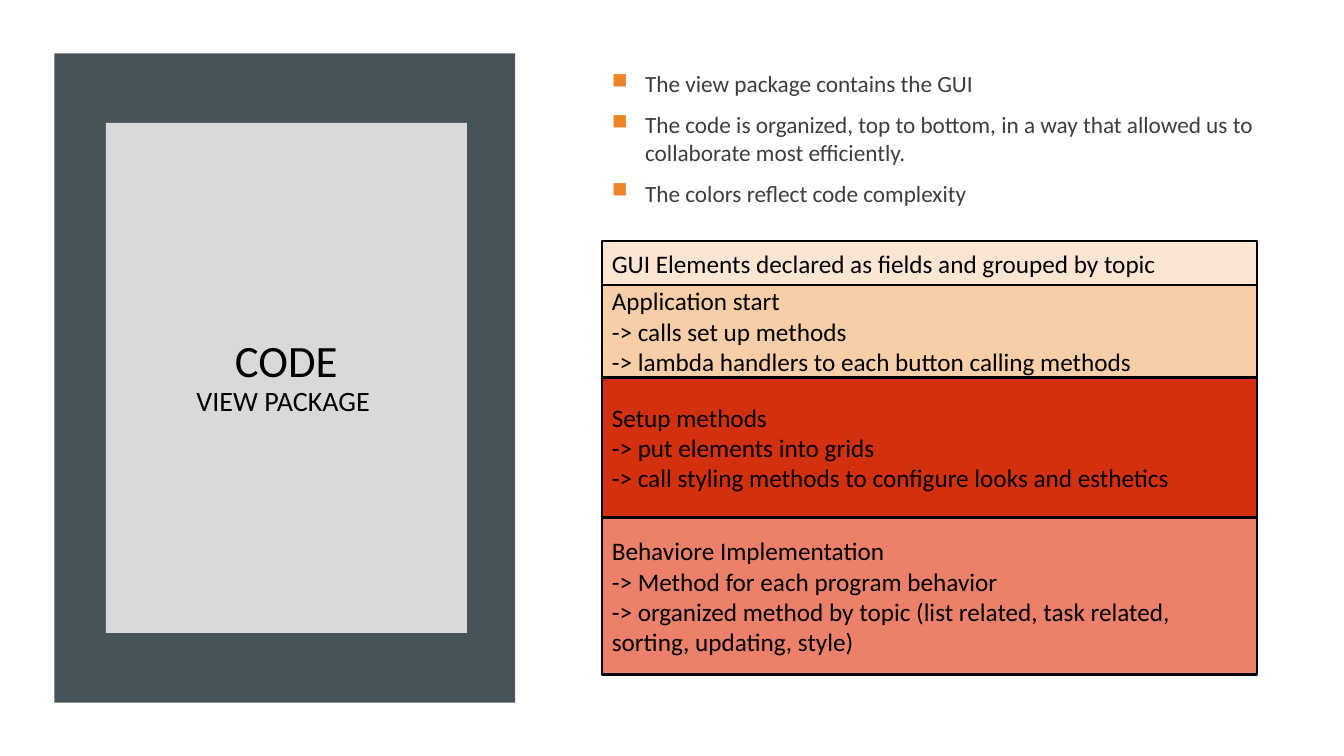
from lxml.etree import SubElement
from pptx import Presentation
from pptx.dml.color import RGBColor
from pptx.enum.shapes import MSO_SHAPE as Shape
from pptx.enum.text import MSO_ANCHOR as Anchor, PP_ALIGN as Align
from pptx.oxml.ns import qn
from pptx.util import Inches, Pt

FONT = "Calibri"
WIDTH, HEIGHT = 13.33, 7.5
STACK_LEFT, STACK_WIDTH = 5.97, 6.5

POINTS = [
    "The view package contains the GUI",
    "The code is organized, top to bottom, in a way that allowed us to collaborate most efficiently.",
    "The colors reflect code complexity",
]

SECTIONS = [
    (2.39, 0.45, "FBE6D4", ["GUI Elements declared as fields and grouped by topic"]),
    (2.83, 0.91, "F8CEA9", [
        "Application start",
        "-> calls set up methods",
        "-> lambda handlers to each button calling methods",
    ]),
    (3.75, 1.38, "D3300F", [
        "Setup methods",
        "-> put elements into grids",
        "-> call styling methods to configure looks and esthetics",
    ]),
    (5.14, 1.55, "EC806A", [
        "Behaviore Implementation",
        "-> Method for each program behavior",
        "-> organized method by topic (list related, task related, sorting, updating, style)",
    ]),
]


def color(hex_value):
    return RGBColor.from_string(hex_value)


def style_run(run, size, hex_value):
    run.font.name = FONT
    run.font.size = Pt(size)
    run.font.color.rgb = color(hex_value)


def add_panel(slide, left, top, width, height, fill, outline=None):
    panel = slide.shapes.add_shape(
        Shape.RECTANGLE, Inches(left), Inches(top), Inches(width), Inches(height))
    panel.shadow.inherit = False
    panel.fill.solid()
    panel.fill.fore_color.rgb = color(fill)
    if outline:
        panel.line.color.rgb = color(outline)
        panel.line.width = Pt(1.75)
    else:
        panel.line.fill.background()
    return panel


def write_lines(frame, lines, size, hex_value, align=Align.LEFT):
    frame.word_wrap = True
    frame.vertical_anchor = Anchor.MIDDLE
    frame.text = "\n".join(lines)
    for paragraph in frame.paragraphs:
        paragraph.alignment = align
        for run in paragraph.runs:
            style_run(run, size, hex_value)


def add_title(slide):
    title = add_panel(slide, 1.05, 1.22, 3.58, 5.06, "D9D9D9")
    write_lines(title.text_frame, ["CODE\vVIEW PACKAGE "], 32, "000000", Align.CENTER)
    heading = title.text_frame.paragraphs[0]
    heading.line_spacing = 0.9
    heading.runs[1].font.size = Pt(20)


def add_bullet(paragraph):
    paragraph.space_before = Pt(3.3)
    paragraph.space_after = Pt(6)
    properties = paragraph._p.get_or_add_pPr()
    properties.set("marL", str(Inches(0.33)))
    properties.set("indent", str(Inches(-0.33)))
    bullet_color = SubElement(properties, qn("a:buClr"))
    SubElement(bullet_color, qn("a:srgbClr"), val="ED8428")
    SubElement(properties, qn("a:buSzPct"), val="92000")
    SubElement(properties, qn("a:buChar"), char="■")


def add_points(slide):
    points = slide.shapes.add_textbox(
        Inches(STACK_LEFT), Inches(0.64), Inches(6.68), Inches(1.46))
    write_lines(points.text_frame, POINTS, 16.6, "3D3D3D")
    for paragraph in points.text_frame.paragraphs:
        add_bullet(paragraph)


def add_section(slide, top, height, fill, lines):
    section = add_panel(slide, STACK_LEFT, top, STACK_WIDTH, height, fill, "000000")
    write_lines(section.text_frame, lines, 18, "000000")


def main():
    deck = Presentation()
    deck.slide_width = Inches(WIDTH)
    deck.slide_height = Inches(HEIGHT)
    slide = deck.slides.add_slide(deck.slide_layouts[6])
    add_panel(slide, 0, 0, WIDTH, HEIGHT, "FFFFFF")
    add_panel(slide, 0.54, 0.53, 4.57, 6.44, "465359")
    add_title(slide)
    add_points(slide)
    for section in SECTIONS:
        add_section(slide, *section)
    deck.save("out.pptx")


if __name__ == "__main__":
    main()
